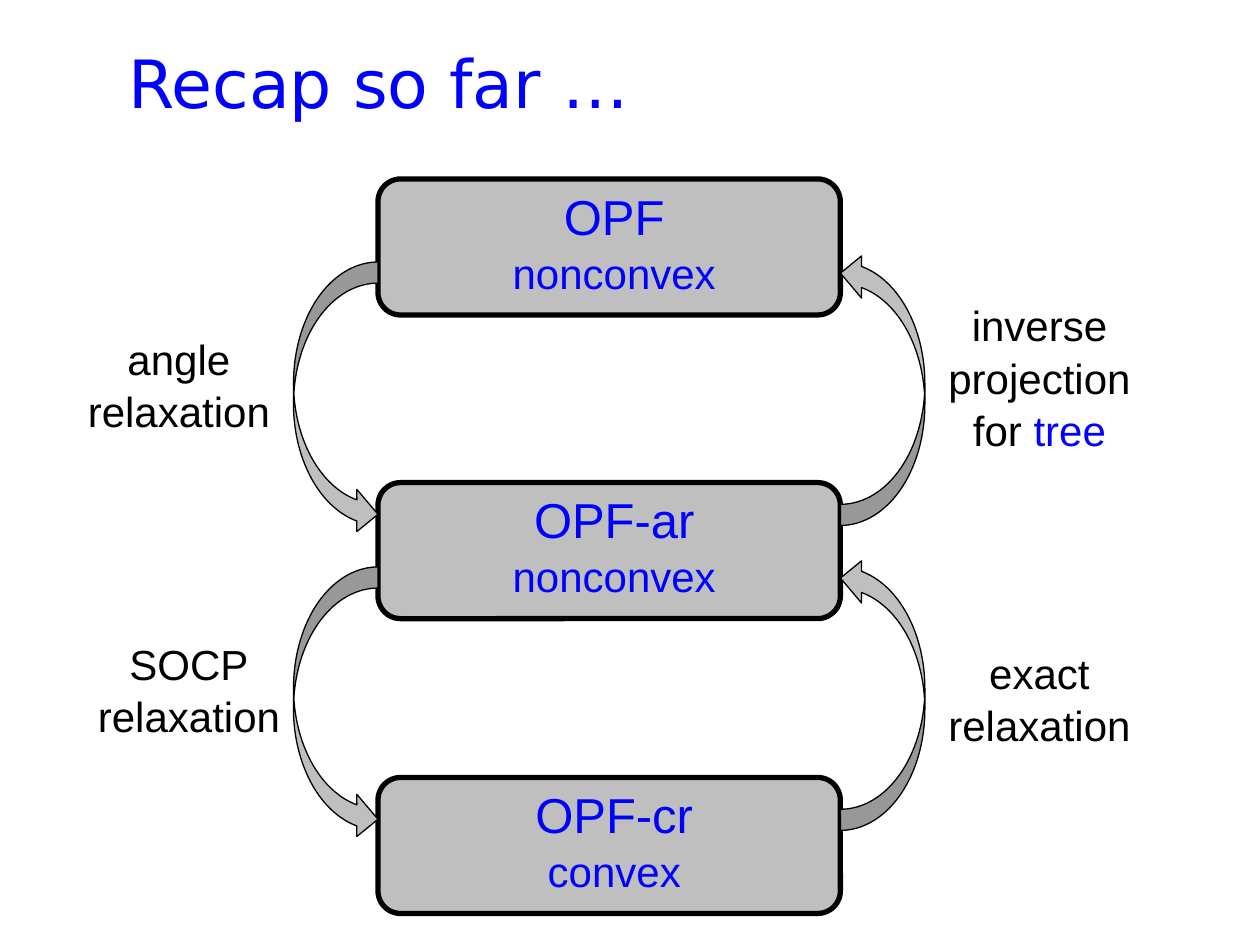
from pptx import Presentation
from pptx import util as u
from pptx.dml.color import RGBColor
from pptx.enum import shapes, text

BLUE, BLACK, GRAY = "0000FF", "000000", "BFBFBF"
BOX_X, BOX_W, BOX_H = 3, 3.67, 1.08
ARROW_W, ARROW_H = 0.67, 2.17


def rgb(value):
    return RGBColor.from_string(value)


def add_shape(s, kind, x, y, w, h, line_width):
    sp = s.shapes.add_shape(kind, *map(u.Inches, (x, y, w, h)))
    sp.shadow.inherit = False
    sp.fill.solid()
    sp.fill.fore_color.rgb = rgb(GRAY)
    sp.line.color.rgb = rgb(BLACK)
    sp.line.width = u.Pt(line_width)
    return sp


def add_run(p, words, size, color, font="Arial"):
    r = p.add_run()
    r.text = words
    r.font.size = u.Pt(size)
    r.font.name = font
    r.font.color.rgb = rgb(color)


def add_text(s, x, y, w, h, lines):
    tf = s.shapes.add_textbox(*map(u.Inches, (x, y, w, h))).text_frame
    tf.word_wrap = False
    tf.vertical_anchor = text.MSO_ANCHOR.MIDDLE
    for i, runs in enumerate(lines):
        p = tf.add_paragraph() if i else tf.paragraphs[0]
        p.alignment = text.PP_ALIGN.CENTER
        p.line_spacing = 1.04
        for run in runs:
            add_run(p, *run)


def add_title(s, words):
    box = s.shapes.add_textbox(*map(u.Inches, (0.92, 0.25, 8.83, 0.92)))
    tf = box.text_frame
    tf.word_wrap = True
    tf.vertical_anchor = text.MSO_ANCHOR.MIDDLE
    p = tf.paragraphs[0]
    p.line_spacing = 0.8
    add_run(p, words, 38, BLUE, "DejaVu Sans")


def add_problem(s, y, name, kind, w):
    add_shape(s, shapes.MSO_SHAPE.ROUNDED_RECTANGLE, BOX_X, y, BOX_W, BOX_H, 3)
    x = BOX_X + (BOX_W - w) / 2 + 0.04
    add_text(s, x, y, w, 0.98, [[(name, 28, BLUE)], [(kind, 24, BLUE)]])


def add_arrow(s, x, y, rotation):
    sp = add_shape(s, shapes.MSO_SHAPE.CURVED_RIGHT_ARROW,
                   x, y, ARROW_W, ARROW_H, 0.75)
    sp.rotation = rotation


def add_label(s, x, y, *lines):
    runs = [[(words, 24, color) for words, color in line] for line in lines]
    add_text(s, x, y, 1.66, 0.1 + 0.405 * len(lines), runs)


def main():
    prs = Presentation()
    prs.slide_width, prs.slide_height = u.Inches(10), u.Inches(7.5)
    s = prs.slides.add_slide(prs.slide_layouts[6])
    add_title(s, "Recap so far …")

    for y, name, kind, w in ((1.42, "OPF", "nonconvex", 1.83),
                             (3.83, "OPF-ar", "nonconvex", 1.83),
                             (6.17, "OPF-cr", "convex", 1.47)):
        add_problem(s, y, name, kind, w)

    for y in (2.08, 4.5):
        add_arrow(s, BOX_X - ARROW_W, y, 0)
        add_arrow(s, BOX_X + BOX_W, y - 0.08, 180)

    relaxation = [("relaxation", BLACK)]
    add_label(s, 0.59, 2.59, [("angle", BLACK)], relaxation)
    add_label(s, 0.67, 5.01, [("SOCP", BLACK)], relaxation)
    add_label(s, 7.42, 5.08, [("exact", BLACK)], relaxation)
    add_label(s, 7.42, 2.33, [("inverse", BLACK)], [("projection", BLACK)],
              [("for ", BLACK), ("tree", BLUE)])
    prs.save("out.pptx")


if __name__ == "__main__":
    main()
